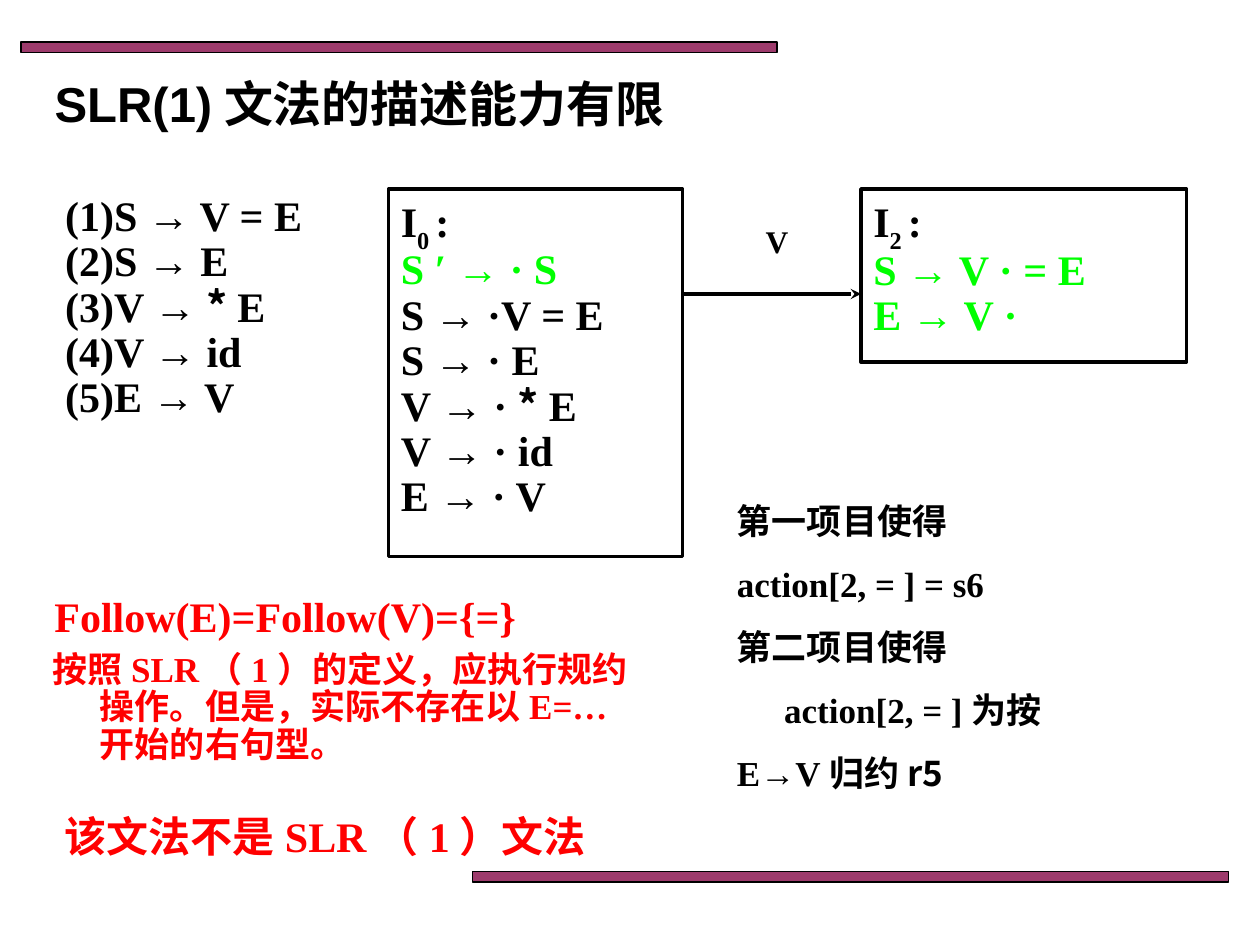
from dataclasses import dataclass
from typing import NamedTuple

from lxml.etree import SubElement
from pptx import Presentation
from pptx.dml.color import RGBColor
from pptx.enum.shapes import MSO_CONNECTOR as Connector, MSO_SHAPE as Shape
from pptx.enum.text import MSO_ANCHOR as Anchor, MSO_AUTO_SIZE as AutoSize, PP_ALIGN as Align
from pptx.oxml.ns import qn
from pptx.util import Pt


@dataclass(frozen=True)
class Theme:
    ink: str = "000000"
    alert: str = "FF0000"
    conflict: str = "00FF00"
    bar: str = "993366"
    serif: str = "Times New Roman"
    sans: str = "Arial"
    han: str = "Noto Sans CJK SC"
    title: int = 28
    rule: int = 24
    note: int = 20
    label: int = 18


class Box(NamedTuple):
    left: float
    top: float
    width: float
    height: float

    def lengths(self):
        return [Pt(value) for value in self]


class Piece(NamedTuple):
    text: str
    font: str = ""
    sunk: bool = False


THEME = Theme()
INDENT = 27


def han(text):
    return Piece(text, THEME.han)


def rgb(color):
    return RGBColor.from_string(color)


def write(frame, lines, size, color=THEME.ink, spacing=0.9, align=Align.LEFT, marked=()):
    frame.word_wrap = True
    frame.auto_size = AutoSize.NONE
    frame.vertical_anchor = Anchor.TOP
    for index, line in enumerate(lines):
        paragraph = frame.paragraphs[0] if index == 0 else frame.add_paragraph()
        properties = paragraph._p.get_or_add_pPr()
        properties.set("marL", str(Pt(INDENT)))
        properties.set("indent", str(Pt(-INDENT)))
        SubElement(properties, qn("a:buNone"))
        paragraph.alignment = align
        paragraph.line_spacing = spacing
        paragraph.space_before = Pt(0)
        for part in [line] if isinstance(line, str) else line:
            piece = Piece(part) if isinstance(part, str) else part
            run = paragraph.add_run()
            run.text = piece.text
            font = run.font
            font.size, font.bold = Pt(size), True
            font.name = piece.font or THEME.serif
            font.color.rgb = rgb(THEME.conflict if index in marked else color)
            SubElement(font._element, qn("a:ea")).set("typeface", THEME.han)
            if piece.sunk:
                font._element.set("baseline", "-30000")


def place(placeholder, box):
    placeholder.left, placeholder.top, placeholder.width, placeholder.height = box.lengths()
    return placeholder.text_frame


def add_text(slide, box, lines, size, **style):
    write(slide.shapes.add_textbox(*box.lengths()).text_frame, lines, size, **style)


def add_bar(slide, box):
    bar = slide.shapes.add_shape(Shape.RECTANGLE, *box.lengths())
    bar.shadow.inherit = False
    bar.fill.solid()
    bar.fill.fore_color.rgb = rgb(THEME.bar)
    color = bar.fill._xPr.find(qn("a:solidFill"))[0]
    SubElement(color, qn("a:alpha")).set("val", "96000")
    bar.line.color.rgb = rgb(THEME.ink)
    bar.line.width = Pt(0.75)


def add_state(slide, box, number, items, marked):
    state = slide.shapes.add_shape(Shape.RECTANGLE, *box.lengths())
    state.shadow.inherit = False
    state.fill.background()
    state.line.color.rgb = rgb(THEME.ink)
    state.line.width = Pt(2)
    heading = ["I", Piece(f"{number} ", sunk=True), ":"]
    write(state.text_frame, [heading, *items], THEME.rule, marked=marked)


def add_transition(slide, box, symbol):
    level = Pt(box.top + box.height)
    arrow = slide.shapes.add_connector(
        Connector.STRAIGHT, Pt(box.left), level, Pt(box.left + box.width), level)
    arrow.line.color.rgb = rgb(THEME.ink)
    arrow.line.width = Pt(2)
    SubElement(arrow.line._get_or_add_ln(), qn("a:tailEnd")).set("type", "stealth")
    SubElement(arrow._element.spPr, qn("a:effectLst"))
    label = Box(box.left + 30, box.top, 48, box.height)
    add_text(slide, label, [symbol], THEME.label, align=Align.CENTER)


def add_automaton(slide, box):
    start = Box(box.left, box.top, 168, 210)
    target = Box(box.left + box.width - 186, box.top, 186, 99)
    add_state(slide, start, 0, [
        "S ′ → · S", "S → ·V = E", "S → · E",
        ["V → · ", han("* "), "E"], "V → · id", "E → · V",
    ], marked=(1,))
    add_state(slide, target, 2, ["S → V · = E", "E → V ·"], marked=(1, 2))
    gap_left = start.left + start.width
    add_transition(slide, Box(gap_left, box.top + 18, target.left - gap_left, 42), "V")


def add_actions(slide, box):
    add_text(slide, box, [
        [han("第一项目使得")],
        "action[2, = ] = s6",
        [han("第二项目使得")],
        ["\taction[2, = ]", han("为按")],
        ["E→V", han("归约r5")],
    ], THEME.note, spacing=1.5)


def add_conclusion(slide, box):
    follow = Box(box.left + 1, box.top, box.width, 32)
    reason = Box(box.left, box.top + 32, box.width, 78)
    verdict = Box(box.left + 7, box.top + 126, box.width, 42)
    add_text(slide, follow, ["Follow(E)=Follow(V)={=}"], THEME.rule, color=THEME.alert)
    add_text(slide, reason, [[
        "按照SLR（1）的定义，应执行规约操作。但是，实际",
        han("不存在以"), "E=…", han("开始的右句型"), "。",
    ]], THEME.note, color=THEME.alert)
    add_text(slide, verdict, ["该文法不是SLR（1）文法"], THEME.rule, color=THEME.alert)


def build():
    deck = Presentation()
    deck.slide_width, deck.slide_height = Pt(720), Pt(540)
    slide = deck.slides.add_slide(deck.slide_layouts[1])
    title, grammar = slide.placeholders

    for left, top in ((12, 24), (270, 498)):
        add_bar(slide, Box(left, top, 432, 6))
    write(place(title, Box(24, 42, 672, 42)),
          [[Piece("SLR(1)", THEME.sans), han("文法的描述能力有限")]], THEME.title)
    write(place(grammar, Box(30, 108, 168, 198)), [
        "(1)S → V = E", "(2)S → E", ["(3)V → ", han("* "), "E"],
        "(4)V → id", "(5)E → V",
    ], THEME.rule)
    add_automaton(slide, Box(222, 108, 456, 210))
    add_actions(slide, Box(414, 270, 276, 192))
    add_conclusion(slide, Box(23, 337, 348, 168))
    deck.save("out.pptx")


if __name__ == "__main__":
    build()
